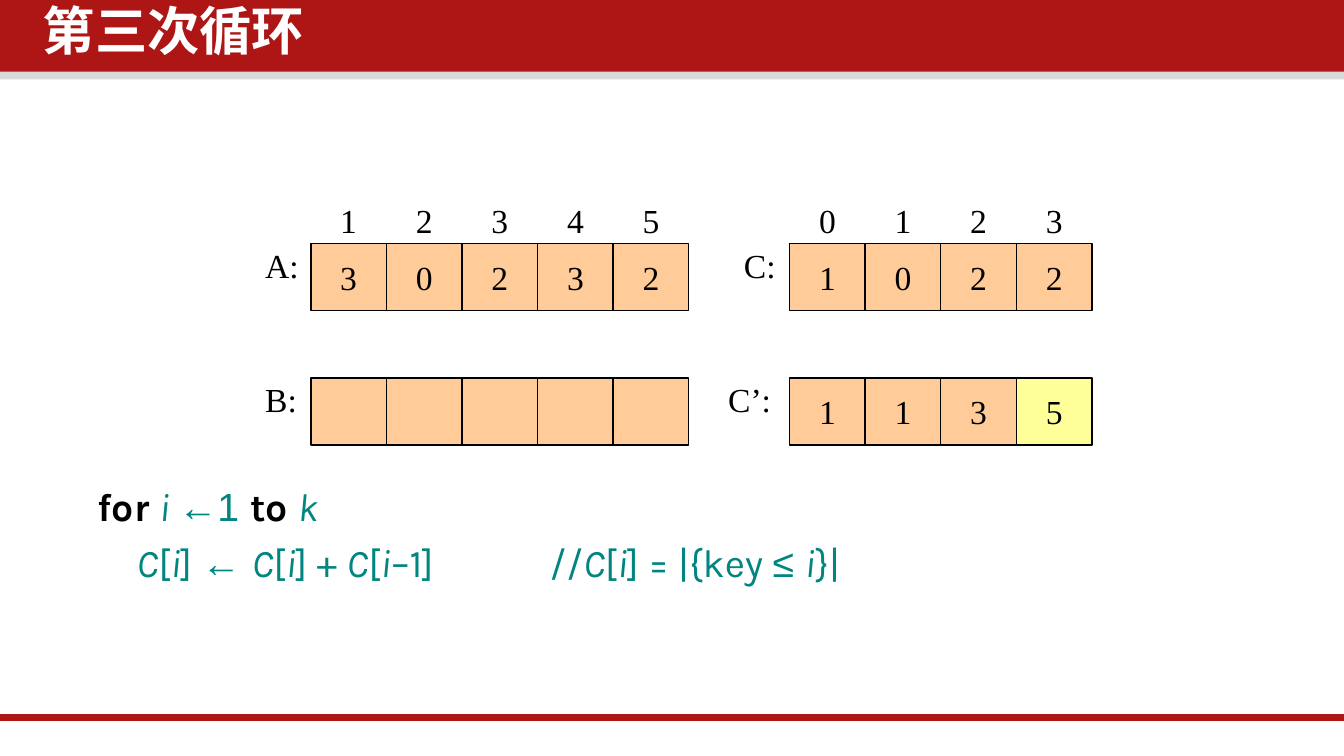
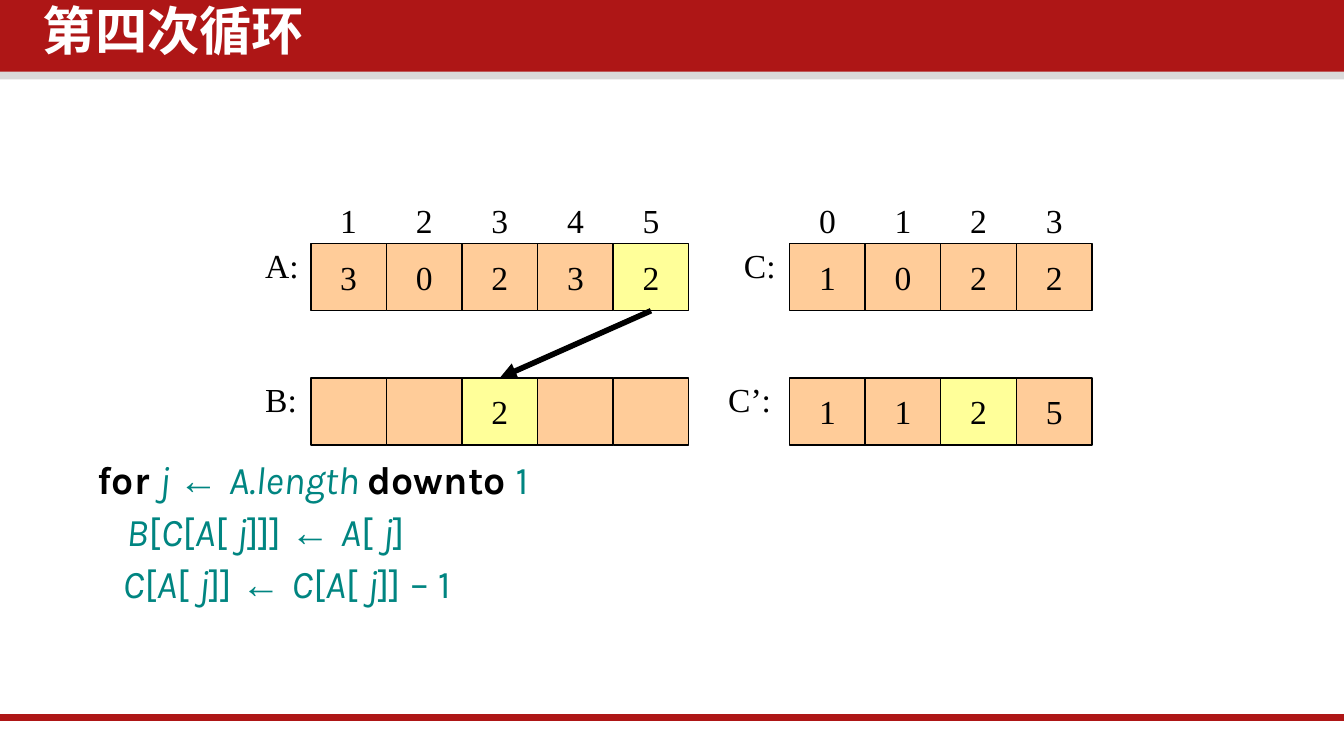
from dataclasses import dataclass
from typing import NamedTuple

from lxml import etree
from pptx import Presentation
from pptx.dml.color import RGBColor
from pptx.enum.shapes import MSO_CONNECTOR, MSO_SHAPE
from pptx.enum.text import MSO_ANCHOR, MSO_AUTO_SIZE, PP_ALIGN
from pptx.oxml.ns import qn
from pptx.util import Pt

RECTANGLE = MSO_SHAPE.RECTANGLE
STRAIGHT = MSO_CONNECTOR.STRAIGHT
TOP, MIDDLE = MSO_ANCHOR.TOP, MSO_ANCHOR.MIDDLE
LEFT, CENTER = PP_ALIGN.LEFT, PP_ALIGN.CENTER
NO_FIT, GROW = MSO_AUTO_SIZE.NONE, MSO_AUTO_SIZE.SHAPE_TO_FIT_TEXT
TOP_SIDE, BOTTOM_SIDE = 0, 2

COLORS = {
    "band": "AE1616",
    "band_edge": "D9D9D9",
    "cell": "FFCC99",
    "highlight": "FFFF99",
    "code": "008581",
    "black": "000000",
    "white": "FFFFFF",
}
TITLE_FONT, CODE_FONT = "Noto Sans CJK SC", "Karla"
SYMBOL_FONT, CELL_FONT = "Arial", "Times New Roman"

SLIDE_WIDTH, SLIDE_HEIGHT = 720, 405
CELL_WIDTH, CELL_HEIGHT = 40.5, 36
LEFT_ARRAY, RIGHT_ARRAY = 166.5, 423
UPPER_ROW, LOWER_ROW = 130.5, 202.5
LABEL_HEIGHT = 29
COMMENT_GAP = 57

KEYWORDS = {"for", "to", "downto"}
VARIABLES = {"i", "j", "k", "A", "B", "C", "A.length"}


class Box(NamedTuple):
    left: float
    top: float
    width: float
    height: float

    def lengths(self) -> tuple:
        return tuple(Pt(value) for value in self)


@dataclass(frozen=True)
class Array:
    name: str
    values: tuple
    left: float
    top: float
    label_left: float
    label_width: float = 33
    first_index: int | None = None
    highlight: int | None = None


class CodeLine(NamedTuple):
    indent: float
    text: str


@dataclass(frozen=True)
class Step:
    title: str
    arrays: tuple
    code: tuple
    line_spacing: float
    code_offset: float
    move: tuple | None = None


def array_a(highlight: int | None = None) -> Array:
    return Array("A:", ("3", "0", "2", "3", "2"), LEFT_ARRAY, UPPER_ROW, 135,
                 first_index=1, highlight=highlight)


def array_b(values: tuple, highlight: int | None = None) -> Array:
    return Array("B:", values, LEFT_ARRAY, LOWER_ROW, 135, highlight=highlight)


def array_c_prime(values: tuple, highlight: int) -> Array:
    return Array("C’:", values, RIGHT_ARRAY, LOWER_ROW, 383, 38, highlight=highlight)


ARRAY_C = Array("C:", ("1", "0", "2", "2"), RIGHT_ARRAY, UPPER_ROW, 391.5, first_index=0)

STEPS = (
    Step(
        "第三次循环",
        (array_a(), array_b(("",) * 5), ARRAY_C, array_c_prime(("1", "1", "3", "5"), 3)),
        (
            CodeLine(0, "for ~i ~←1 ~to ~k"),
            CodeLine(21, "C~[~i~] ~← ~C~[~i~] + ~C~[~i~–1]~ ~//~C~[~i~] = |{key ~≤ ~i~}|"),
        ),
        line_spacing=0.9,
        code_offset=187,
    ),
    Step(
        "第四次循环",
        (array_a(4), array_b(("", "", "2", "", ""), 2), ARRAY_C,
         array_c_prime(("1", "1", "2", "5"), 2)),
        (
            CodeLine(0, "for ~j ~← ~A.length ~downto ~1"),
            CodeLine(15.5, "B~[~C~[~A~[ ~j~]]] ~← ~A~[ ~j~]"),
            CodeLine(13.5, "C~[~A~[ ~j~]] ~← ~C~[~A~[ ~j~]] – 1"),
        ),
        line_spacing=0.8,
        code_offset=175,
        move=(("A:", 4), ("B:", 2)),
    ),
)


def rgb(name: str) -> RGBColor:
    return RGBColor.from_string(COLORS[name])


def style_run(run, font: str, size: float, color: str,
              bold: bool = False, italic: bool = False) -> None:
    run.font.name = font
    run.font.size = Pt(size)
    run.font.color.rgb = rgb(color)
    run.font.bold = bold
    run.font.italic = italic


def place(shape, box: Box) -> None:
    shape.left, shape.top, shape.width, shape.height = box.lengths()


def add_rectangle(slide, box: Box, fill: str, outlined: bool = False):
    shape = slide.shapes.add_shape(RECTANGLE, *box.lengths())
    shape.shadow.inherit = False
    shape.fill.solid()
    shape.fill.fore_color.rgb = rgb(fill)
    if outlined:
        shape.line.color.rgb = rgb("black")
        shape.line.width = Pt(0.75)
    else:
        shape.line.fill.background()
    return shape


def add_line(slide, start: tuple, end: tuple, color: str, width: float):
    connector = slide.shapes.add_connector(
        STRAIGHT, *(Pt(value) for value in start + end))
    connector.line.color.rgb = rgb(color)
    connector.line.width = Pt(width)
    etree.SubElement(connector.element.spPr, qn("a:effectLst"))
    return connector


def set_cell_text(shape, text: str, alignment=CENTER) -> None:
    frame = shape.text_frame
    frame.word_wrap = False
    frame.text = text
    paragraph = frame.paragraphs[0]
    paragraph.alignment = alignment
    for run in paragraph.runs:
        style_run(run, CELL_FONT, 18, "black")


def add_label(slide, box: Box, text: str, alignment=LEFT) -> None:
    label = slide.shapes.add_textbox(*box.lengths())
    set_cell_text(label, text, alignment)
    label.text_frame.auto_size = GROW


def add_array(slide, array: Array) -> list:
    label_box = Box(array.label_left, array.top - 3, array.label_width, LABEL_HEIGHT)
    add_label(slide, label_box, array.name)
    cells = []
    for position, value in enumerate(array.values):
        left = array.left + position * CELL_WIDTH
        fill = "highlight" if position == array.highlight else "cell"
        cell = add_rectangle(slide, Box(left, array.top, CELL_WIDTH, CELL_HEIGHT), fill, True)
        if value:
            set_cell_text(cell, value)
            cell.text_frame.vertical_anchor = MIDDLE
        cells.append(cell)
        if array.first_index is not None:
            index_box = Box(left, array.top - 27, CELL_WIDTH, LABEL_HEIGHT)
            add_label(slide, index_box, str(array.first_index + position), CENTER)
    return cells


def add_move_arrow(slide, source, target) -> None:
    arrow = add_line(slide, (0, 0), (0, 0), "black", 3)
    arrow.begin_connect(source, BOTTOM_SIDE)
    arrow.end_connect(target, TOP_SIDE)
    outline = arrow.element.spPr.find(qn("a:ln"))
    etree.SubElement(outline, qn("a:tailEnd"), type="triangle")


def set_title(slide, text: str) -> None:
    title = slide.shapes.title
    place(title, Box(17.5, 0, 550, 42.5))
    frame = title.text_frame
    frame.text = text
    frame.auto_size = NO_FIT
    frame.word_wrap = True
    frame.vertical_anchor = TOP
    frame.margin_left = frame.margin_right = Pt(5.5)
    frame.margin_top, frame.margin_bottom = Pt(5.5), Pt(3)
    paragraph = frame.paragraphs[0]
    paragraph.alignment = LEFT
    paragraph.line_spacing = 0.8
    paragraph.space_before = Pt(0)
    run = paragraph.runs[0]
    style_run(run, TITLE_FONT, 28, "white", bold=True)
    etree.SubElement(run.font._element, qn("a:ea"), typeface=TITLE_FONT)


def add_code_run(paragraph, piece: str) -> None:
    run = paragraph.add_run()
    run.text = piece
    word = piece.strip()
    keyword = word in KEYWORDS
    font = SYMBOL_FONT if word.startswith(("←", "≤")) else CODE_FONT
    style_run(run, font, 21, "black" if keyword else "code",
              bold=keyword, italic=word in VARIABLES)
    if not word:
        run.font._element.set("spc", str(COMMENT_GAP * 100))


def set_code(slide, step: Step) -> None:
    body = slide.placeholders[1]
    place(body, Box(45, 74, 620.5, 257))
    frame = body.text_frame
    frame.auto_size = NO_FIT
    frame.vertical_anchor = TOP
    frame.margin_top = Pt(step.code_offset)
    for number, line in enumerate(step.code):
        paragraph = frame.add_paragraph() if number else frame.paragraphs[0]
        paragraph.line_spacing = step.line_spacing
        paragraph.space_before = Pt(7.5 if number else 0)
        properties = paragraph._p.get_or_add_pPr()
        properties.set("marL", "0")
        properties.set("indent", str(Pt(line.indent)))
        etree.SubElement(properties, qn("a:buNone"))
        for piece in line.text.split("~"):
            add_code_run(paragraph, piece)


def move_bands_to_master(slide, master) -> None:
    bands = (
        add_rectangle(slide, Box(0, 36, SLIDE_WIDTH, 6.5), "band_edge"),
        add_rectangle(slide, Box(0, 0, SLIDE_WIDTH, 38.5), "band"),
        add_line(slide, (0, 384.5), (SLIDE_WIDTH, 384.5), "band", 4),
    )
    for number, band in enumerate(bands):
        band.element.xpath("./*/p:cNvPr")[0].set("id", str(101 + number))
        master.shapes.element.insert(2 + number, band.element)


def build_step(slide, step: Step) -> None:
    set_title(slide, step.title)
    set_code(slide, step)
    cells = {array.name: add_array(slide, array) for array in step.arrays}
    if step.move:
        source, target = (cells[name][position] for name, position in step.move)
        add_move_arrow(slide, source, target)


def main() -> None:
    presentation = Presentation()
    presentation.slide_width = Pt(SLIDE_WIDTH)
    presentation.slide_height = Pt(SLIDE_HEIGHT)
    layout = presentation.slide_layouts[1]
    slides = [presentation.slides.add_slide(layout) for _ in STEPS]
    move_bands_to_master(slides[0], presentation.slide_master)
    for slide, step in zip(slides, STEPS):
        build_step(slide, step)
    presentation.save("out.pptx")


if __name__ == "__main__":
    main()
